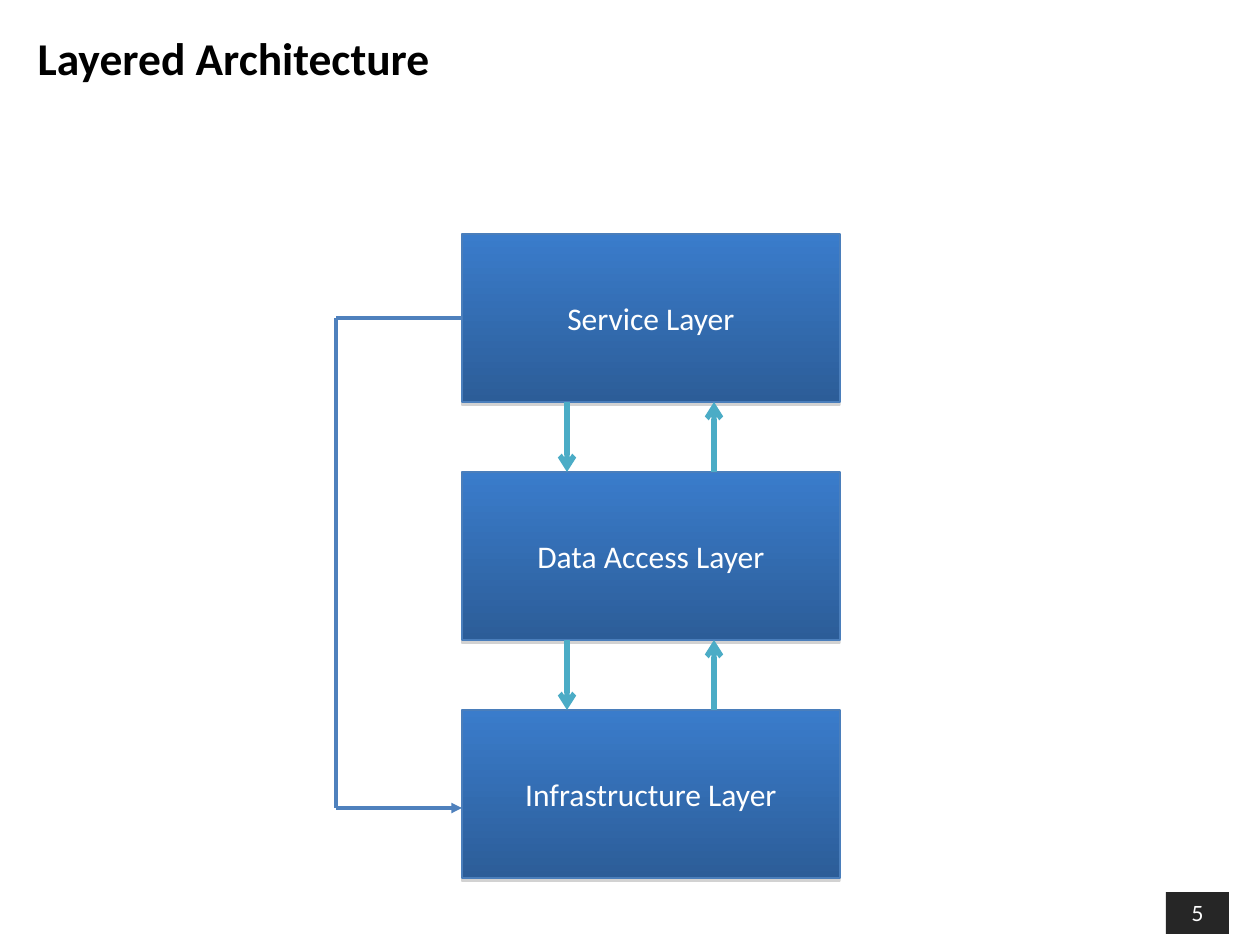
from collections import namedtuple
from dataclasses import dataclass

from lxml import etree
from pptx import Presentation
from pptx import util as u
from pptx.dml.color import RGBColor
from pptx.enum import shapes, text
from pptx.oxml import ns

PX_PER_INCH = 126
Box = namedtuple("Box", "left top width height")


@dataclass(frozen=True)
class Theme:
    font: str = "Calibri"
    number_font: str = "Lato"
    title_size: int = 26
    layer_size: int = 18
    number_size: int = 12
    ink: str = "000000"
    paper: str = "FFFFFF"
    badge: str = "262626"
    layer_top: str = "3A7CCB"
    layer_bottom: str = "2C5D98"
    layer_line: str = "4A7EBB"
    shadow: str = "808080"
    call: str = "4BACC6"
    bypass: str = "4F81BD"


THEME = Theme()


def px(value):
    return u.Emu(round(value * 914400 / PX_PER_INCH))


def rgb(colour):
    return RGBColor.from_string(colour)


def add_element(parent, tag, **attributes):
    return etree.SubElement(parent, ns.qn(tag), attributes)


def write(shape, words, font, size, colour, alignment, bold=False):
    frame = shape.text_frame
    frame.text = words
    frame.word_wrap = True
    frame.vertical_anchor = text.MSO_ANCHOR.MIDDLE
    paragraph = frame.paragraphs[0]
    paragraph.alignment = alignment
    paragraph.font.name = font
    paragraph.font.size = u.Pt(size)
    paragraph.font.bold = bold
    paragraph.font.color.rgb = rgb(colour)


def add_rectangle(slide, box):
    shape = slide.shapes.add_shape(shapes.MSO_SHAPE.RECTANGLE, *map(px, box))
    shape.shadow.inherit = False
    return shape


def add_line(slide, start, end, colour, width, head=None):
    line = slide.shapes.add_connector(
        shapes.MSO_CONNECTOR.STRAIGHT, *map(px, (*start, *end)))
    line.line.color.rgb = rgb(colour)
    line.line.width = u.Pt(width)
    if head:
        add_element(line.line._get_or_add_ln(), "a:tailEnd", type=head)
    add_element(line._element.spPr, "a:effectLst")
    return line


def add_title(slide, box, words):
    title = slide.shapes.title
    title.left, title.top, title.width, title.height = map(px, box)
    write(title, words, THEME.font, THEME.title_size, THEME.ink,
          text.PP_ALIGN.LEFT, bold=True)


def add_page_number(slide, box, number):
    badge = add_rectangle(slide, box)
    badge.fill.solid()
    badge.fill.fore_color.rgb = rgb(THEME.badge)
    badge.line.fill.background()
    write(badge, number, THEME.number_font, THEME.number_size, THEME.paper,
          text.PP_ALIGN.CENTER)


def add_layer(slide, box, name):
    layer = add_rectangle(slide, box)
    layer.fill.gradient()
    layer.fill.gradient_angle = 270
    for stop, colour in zip(layer.fill.gradient_stops,
                            (THEME.layer_top, THEME.layer_bottom)):
        stop.color.rgb = rgb(colour)
        stop.position = 0 if colour == THEME.layer_top else 1
    layer.line.color.rgb = rgb(THEME.layer_line)
    layer.line.width = u.Pt(0.75)
    effects = layer._element.spPr.find(ns.qn("a:effectLst"))
    shadow = add_element(effects, "a:outerShdw", blurRad="0", dist="22860",
                         dir="5400000", rotWithShape="0")
    colour = add_element(shadow, "a:srgbClr", val=THEME.shadow)
    add_element(colour, "a:alpha", val="35000")
    write(layer, name, THEME.font, THEME.layer_size, THEME.paper,
          text.PP_ALIGN.CENTER)
    return layer


def add_bypass(slide, box, layer):
    right, bottom = box.left + box.width, box.top + box.height
    corner, turn = (box.left, box.top), (box.left, bottom)
    exit_line = add_line(slide, (right, box.top), corner, THEME.bypass, 2)
    exit_line.begin_connect(layer, 1)
    add_line(slide, corner, turn, THEME.bypass, 2)
    add_line(slide, turn, (right, bottom), THEME.bypass, 2, "triangle")


def add_layer_stack(slide, box, names):
    height, gap, bypass_width = 168, 70, 126
    tops = [box.top + i * (height + gap) for i in range(len(names))]
    layers = [add_layer(slide, Box(box.left, top, box.width, height), name)
              for top, name in zip(tops, names)]
    down, up = box.left + 105, box.left + 252
    for top in tops[1:]:
        add_line(slide, (down, top - gap), (down, top), THEME.call, 3, "arrow")
        add_line(slide, (up, top), (up, top - gap), THEME.call, 3, "arrow")
    middle = box.top + height // 2
    entry = tops[-1] + 98
    add_bypass(slide, Box(box.left - bypass_width, middle, bypass_width,
                          entry - middle), layers[0])


def main():
    presentation = Presentation()
    presentation.slide_width, presentation.slide_height = px(1260), px(945)
    slide = presentation.slides.add_slide(presentation.slide_layouts[5])
    add_page_number(slide, Box(1166, 892, 63, 42), "5")
    add_title(slide, Box(25, 19, 1216, 77), "Layered Architecture")
    add_layer_stack(slide, Box(462, 234, 378, 644),
                    ["Service Layer", "Data Access Layer", "Infrastructure Layer"])
    presentation.save("out.pptx")


if __name__ == "__main__":
    main()
